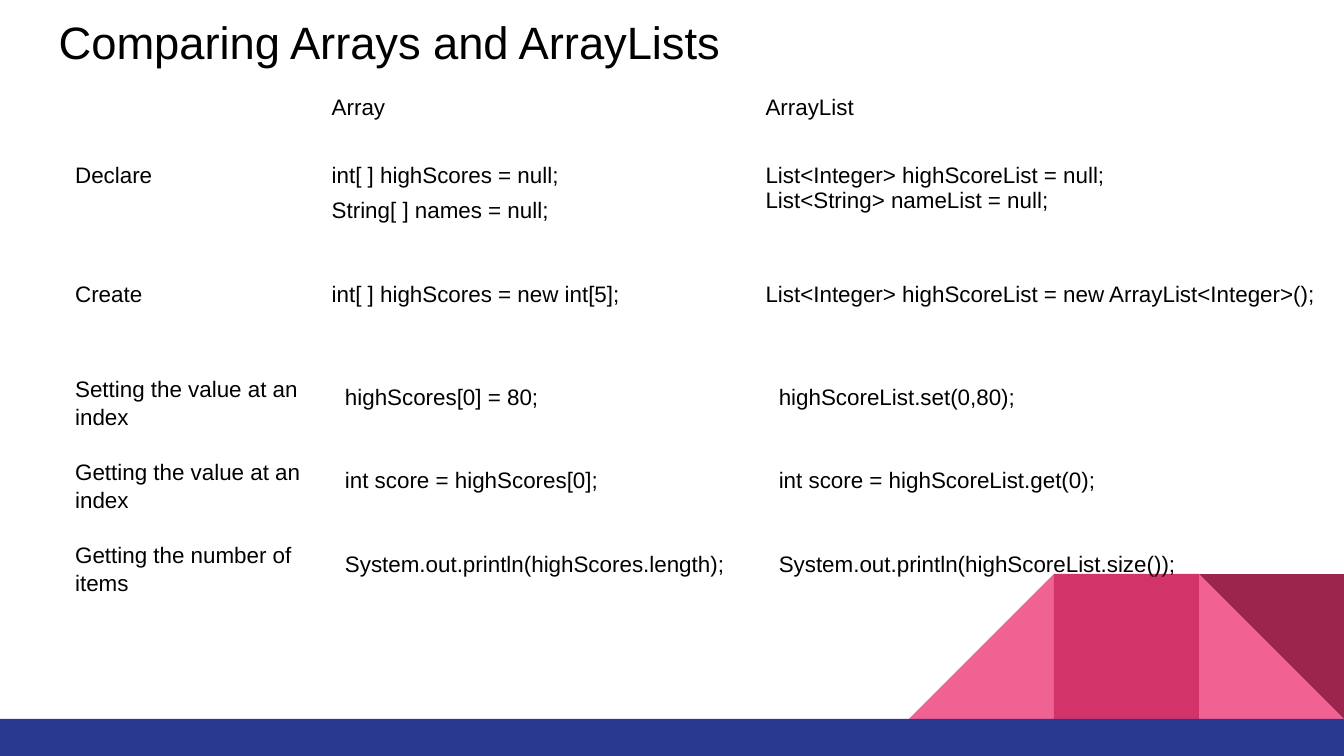
"""Build a slide that compares arrays with ArrayLists."""
import dataclasses

import pptx
import pptx.dml.color
import pptx.enum.shapes
import pptx.enum.text
import pptx.util

Cm = pptx.util.Cm
SHAPE = pptx.enum.shapes.MSO_SHAPE
PLAIN_TABLE_STYLE = "{2D5ABB26-0587-4C30-8999-92F81FD0307C}"
TILE = 2.74
SLIDE_WIDTH = 25.4
BAR_TOP = 13.59
TILE_TOP = BAR_TOP - TILE


@dataclasses.dataclass(frozen=True)
class Block:
    kind: int
    left: float
    top: float
    width: float
    height: float
    color: str
    rotation: float = 0


@dataclasses.dataclass(frozen=True)
class Line:
    text: str
    spacing: float = 1.0
    before: float = 0
    after: float = 0
    indent: float = 0


def label(text: str) -> Line:
    return Line(text, spacing=1.1, before=15, after=8)


def code(text: str) -> Line:
    return Line(text, spacing=1.43, indent=0.25)


BLOCKS = [
    Block(SHAPE.RIGHT_TRIANGLE, SLIDE_WIDTH - TILE, TILE_TOP, TILE, TILE, "F06292"),
    Block(SHAPE.RIGHT_TRIANGLE, SLIDE_WIDTH - 3 * TILE, TILE_TOP, TILE, TILE, "F06292", 270),
    Block(SHAPE.RECTANGLE, SLIDE_WIDTH - 2 * TILE, TILE_TOP, TILE, TILE, "D23369"),
    Block(SHAPE.RIGHT_TRIANGLE, SLIDE_WIDTH - TILE, TILE_TOP, TILE, TILE, "9C254D", 180),
    Block(SHAPE.RECTANGLE, 0, BAR_TOP, SLIDE_WIDTH, 0.7, "2A3990"),
]
COLUMN_WIDTHS = [4.85, 8.2, 10.9]
ROW_HEIGHTS = [1.07, 2.26, 1.75, 1.57, 1.57, 1.57]
ROWS = [
    [[], [Line("Array")], [Line("ArrayList")]],
    [
        [Line("Declare")],
        [Line("int[ ] highScores = null;"), Line("String[ ] names = null;", spacing=1.43)],
        [Line("List<Integer> highScoreList = null;"), Line("List<String> nameList = null;")],
    ],
    [
        [Line("Create")],
        [Line("int[ ] highScores = new int[5];")],
        [Line("List<Integer> highScoreList = new ArrayList<Integer>();")],
    ],
    [
        [label("Setting the value at an index")],
        [code("highScores[0] = 80;")],
        [code("highScoreList.set(0,80);")],
    ],
    [
        [label("Getting the value at an index")],
        [code("int score = highScores[0];")],
        [code("int score = highScoreList.get(0);")],
    ],
    [
        [label("Getting the number of items")],
        [code("System.out.println(highScores.length);")],
        [code("System.out.println(highScoreList.size());")],
    ],
]


def set_color(color_owner, value: str) -> None:
    color_owner.rgb = pptx.dml.color.RGBColor.from_string(value)


def write(paragraph, text: str, *, size: float = 12, color: str = "000000",
          spacing: float = 1.0, before: float = 0, after: float = 0,
          indent: float = 0) -> None:
    paragraph.alignment = pptx.enum.text.PP_ALIGN.LEFT
    paragraph.line_spacing = spacing
    paragraph.space_before = pptx.util.Pt(before)
    paragraph.space_after = pptx.util.Pt(after)
    if indent:
        properties = paragraph._p.get_or_add_pPr()
        properties.set("marL", str(Cm(indent)))
        properties.set("indent", "0")
    run = paragraph.add_run()
    run.text = text
    run.font.name = "Arial"
    run.font.size = pptx.util.Pt(size)
    set_color(run.font.color, color)


def set_margins(holder) -> None:
    holder.margin_left = holder.margin_right = Cm(0.25)
    holder.margin_top = holder.margin_bottom = Cm(0.25)


def draw_block(slide, block: Block) -> None:
    shape = slide.shapes.add_shape(
        block.kind, Cm(block.left), Cm(block.top), Cm(block.width), Cm(block.height))
    shape.rotation = block.rotation
    shape.shadow.inherit = False
    shape.fill.solid()
    set_color(shape.fill.fore_color, block.color)
    shape.line.fill.background()


def draw_title(slide, text: str) -> None:
    title = slide.shapes.title
    title.left, title.top = Cm(0.86), Cm(-0.13)
    title.width, title.height = Cm(23.67), Cm(1.68)
    frame = title.text_frame
    set_margins(frame)
    frame.word_wrap = True
    frame.auto_size = pptx.enum.text.MSO_AUTO_SIZE.NONE
    frame.vertical_anchor = pptx.enum.text.MSO_ANCHOR.BOTTOM
    write(frame.paragraphs[0], text, size=24.3, spacing=1.1, before=15, after=8)


def fill_cell(cell, lines: list[Line]) -> None:
    cell.fill.background()
    set_margins(cell)
    frame = cell.text_frame
    for index, line in enumerate(lines):
        paragraph = frame.add_paragraph() if index else frame.paragraphs[0]
        write(paragraph, **dataclasses.asdict(line))


def draw_table(slide) -> None:
    frame = slide.shapes.add_table(
        len(ROWS), len(COLUMN_WIDTHS), Cm(1.17), Cm(1.55),
        Cm(sum(COLUMN_WIDTHS)), Cm(sum(ROW_HEIGHTS)))
    table = frame.table
    table.first_row = table.horz_banding = False
    table._tbl.tblPr[0].text = PLAIN_TABLE_STYLE
    for column, width in zip(table.columns, COLUMN_WIDTHS):
        column.width = Cm(width)
    for row, height, contents in zip(table.rows, ROW_HEIGHTS, ROWS):
        row.height = Cm(height)
        for cell, lines in zip(row.cells, contents):
            fill_cell(cell, lines)


def main() -> None:
    presentation = pptx.Presentation()
    presentation.slide_width, presentation.slide_height = Cm(SLIDE_WIDTH), Cm(14.29)
    slide = presentation.slides.add_slide(presentation.slide_layouts[5])
    for block in BLOCKS:
        draw_block(slide, block)
    draw_title(slide, "Comparing Arrays and ArrayLists")
    draw_table(slide)
    presentation.save("out.pptx")


if __name__ == "__main__":
    main()
